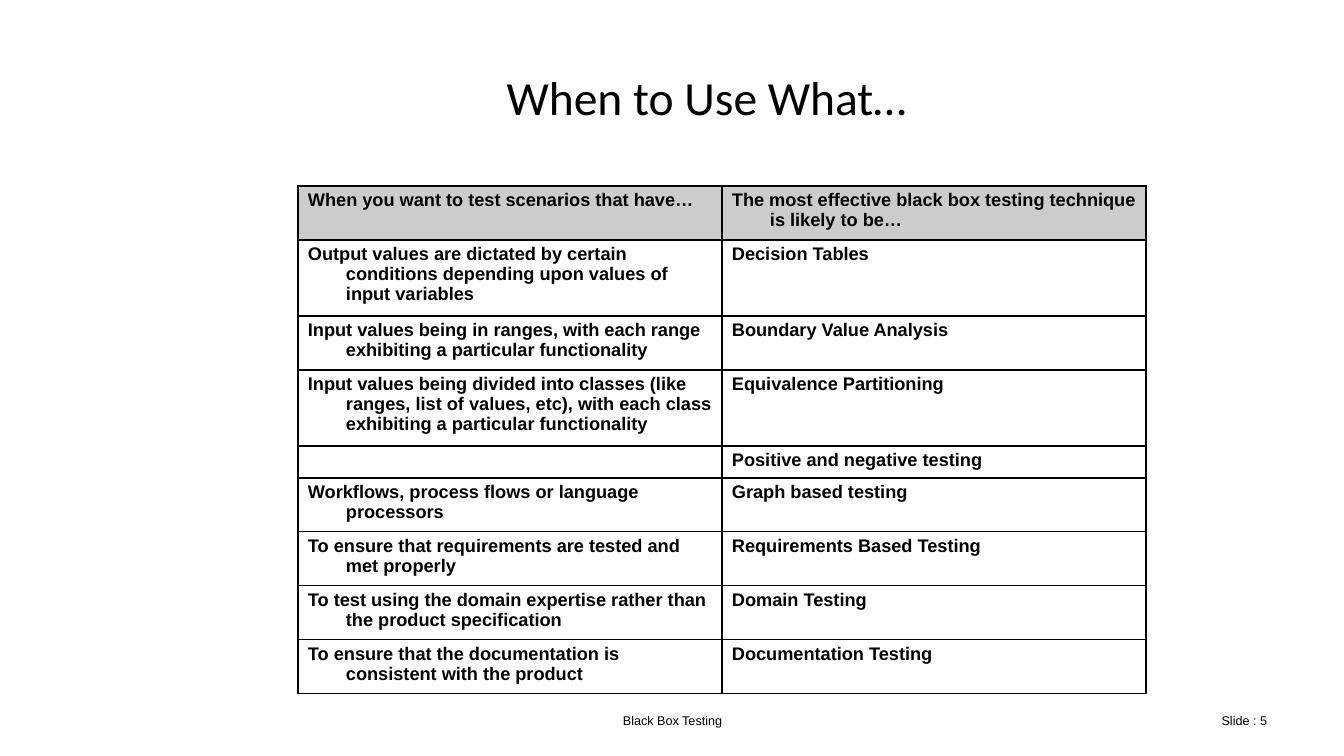
from lxml import etree
from pptx import Presentation
from pptx.dml.color import RGBColor
from pptx.enum.text import MSO_ANCHOR, PP_ALIGN
from pptx.oxml.ns import qn
from pptx.util import Pt

MIDDLE, TOP = MSO_ANCHOR.MIDDLE, MSO_ANCHOR.TOP
LEFT, CENTER, RIGHT = PP_ALIGN.LEFT, PP_ALIGN.CENTER, PP_ALIGN.RIGHT
EMU_PER_PX = 914400 / 100.8

THEME = {
    "ink": RGBColor(0x00, 0x00, 0x00),
    "header": RGBColor(0xCC, 0xCC, 0xCC),
    "title": {"name": "Calibri", "size": Pt(34), "bold": False},
    "cell": {"name": "Arial", "size": Pt(13), "bold": True},
    "footer": {"name": "Arial", "size": Pt(9), "bold": False},
    "border": Pt(1),
}


def px(length):
    return round(length * EMU_PER_PX)


def write(paragraph, text, style, alignment):
    paragraph.alignment = alignment
    run = paragraph.add_run()
    run.text = text
    for name, value in THEME[style].items():
        setattr(run.font, name, value)
    run.font.color.rgb = THEME["ink"]


presentation = Presentation()
presentation.slide_width, presentation.slide_height = px(1344), px(756)
slide = presentation.slides.add_slide(presentation.slide_layouts[6])

# Title and footer
TEXT_BOXES = [
    ("When to Use What…", "title", CENTER, (282, 33, 849, 126)),
    ("Black Box Testing", "footer", CENTER, (460, 701, 425, 40)),
    ("Slide : 5", "footer", RIGHT, (964, 701, 313, 40)),
]
for text, style, alignment, box in TEXT_BOXES:
    frame = slide.shapes.add_textbox(*map(px, box)).text_frame
    frame.word_wrap = True
    frame.vertical_anchor = MIDDLE
    write(frame.paragraphs[0], text, style, alignment)

# Table of scenarios and techniques: row height in px, then the two cells
ROWS = [
    (54, "When you want to test scenarios that have…",
     "The most effective black box testing technique is likely to be…"),
    (76, "Output values are dictated by certain conditions depending upon values of input variables",
     "Decision Tables"),
    (54, "Input values being in ranges, with each range exhibiting a particular functionality",
     "Boundary Value Analysis"),
    (76, "Input values being divided into classes (like ranges, list of values, etc), "
     "with each class exhibiting a particular functionality",
     "Equivalence Partitioning"),
    (32, "", "Positive and negative testing"),
    (54, "Workflows, process flows or language processors", "Graph based testing"),
    (54, "To ensure that requirements are tested and met properly", "Requirements Based Testing"),
    (54, "To test using the domain expertise rather than the product specification",
     "Domain Testing"),
    (54, "To ensure that the documentation is consistent with the product",
     "Documentation Testing"),
]
COLUMN_WIDTH = 424
HANGING_INDENT = 38
CELL_FORMAT = {
    "margin_left": px(10),
    "margin_right": px(8),
    "margin_top": px(5),
    "margin_bottom": px(5),
    "vertical_anchor": TOP,
}

table_height = sum(height for height, *_ in ROWS)
table = slide.shapes.add_table(
    len(ROWS), 2, px(298), px(186), px(2 * COLUMN_WIDTH), px(table_height)
).table
table.first_row = table.horz_banding = False
for column in table.columns:
    column.width = px(COLUMN_WIDTH)

for row_index, (height, *texts) in enumerate(ROWS):
    table.rows[row_index].height = px(height)
    for column_index, text in enumerate(texts):
        cell = table.cell(row_index, column_index)
        for name, value in CELL_FORMAT.items():
            setattr(cell, name, value)

        # Text with a hanging indent; an empty cell keeps the small type size
        paragraph = cell.text_frame.paragraphs[0]
        paragraph.line_spacing = 0.97
        if text:
            write(paragraph, text, "cell", LEFT)
        else:
            end_properties = etree.SubElement(paragraph._p, qn("a:endParaRPr"))
            end_properties.set("sz", str(round(THEME["cell"]["size"].pt * 100)))
        paragraph_properties = paragraph._p.get_or_add_pPr()
        paragraph_properties.set("marL", str(px(HANGING_INDENT)))
        paragraph_properties.set("indent", str(-px(HANGING_INDENT)))

        # Borders come before the fill in the cell properties
        cell_properties = cell._tc.get_or_add_tcPr()
        for side in ("a:lnL", "a:lnR", "a:lnT", "a:lnB"):
            line = etree.SubElement(cell_properties, qn(side), w=str(THEME["border"]))
            line_fill = etree.SubElement(line, qn("a:solidFill"))
            etree.SubElement(line_fill, qn("a:srgbClr"), val=str(THEME["ink"]))
        if row_index == 0:
            cell.fill.solid()
            cell.fill.fore_color.rgb = THEME["header"]
        else:
            cell.fill.background()

presentation.save("out.pptx")
